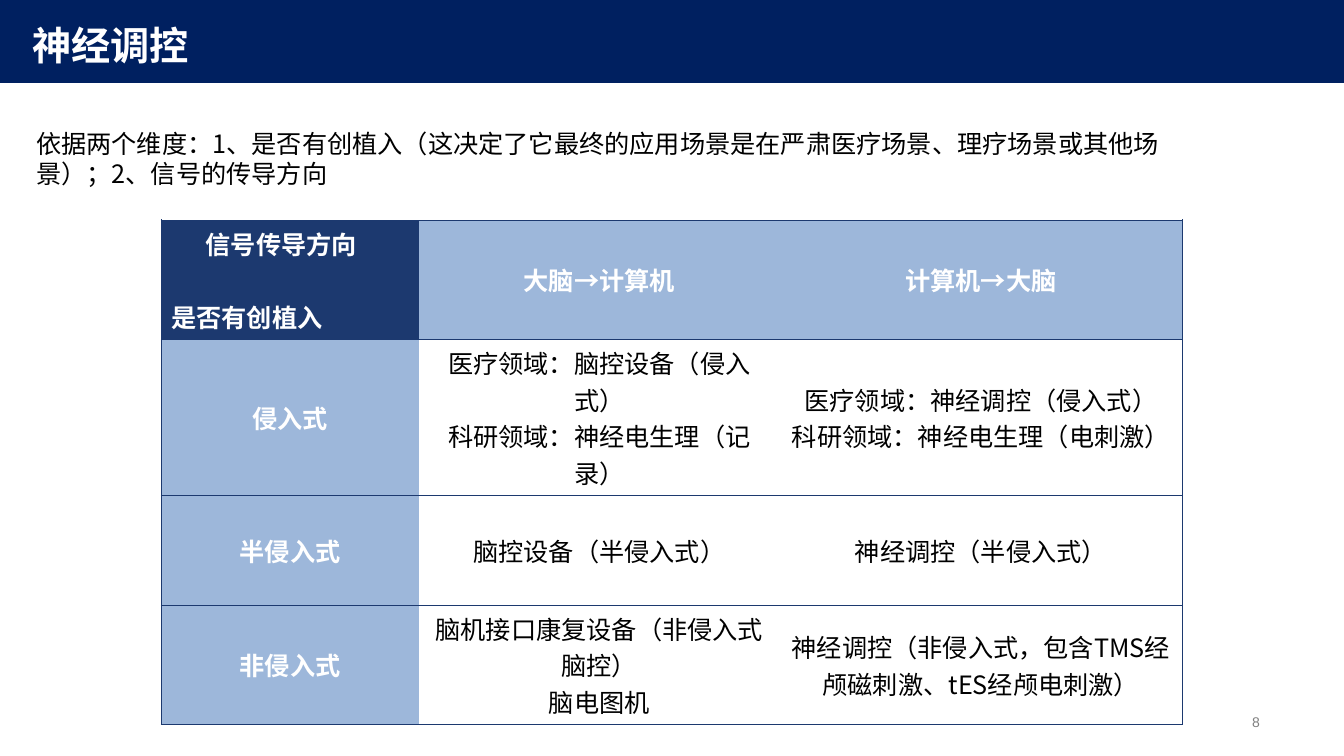
from pptx import Presentation
from pptx.dml.color import RGBColor
from pptx.enum import shapes, text
from pptx.oxml import parse_xml
from pptx.oxml.ns import nsdecls, qn
from pptx.util import Pt

# Content
TITLE = "神经调控"
INTRO = ("依据两个维度：1、是否有创植入（这决定了它最终的应用场景是在严肃医疗场景、"
         "理疗场景或其他场景）；2、信号的传导方向")
PAGE = "8"
ROWS = [
    ["信号传导方向\n是否有创植入", "大脑→计算机", "计算机→大脑"],
    ["侵入式",
     "医疗领域：脑控设备（侵入式）\n科研领域：神经电生理（记录）",
     "医疗领域：神经调控（侵入式）\n科研领域：神经电生理（电刺激）"],
    ["半侵入式", "脑控设备（半侵入式）", "神经调控（半侵入式）"],
    ["非侵入式",
     "脑机接口康复设备（非侵入式脑控）\n脑电图机",
     "神经调控（非侵入式，包含TMS经颅磁刺激、tES经颅电刺激）"],
]

THEME = {
    "banner": "002060", "corner": "1C396F", "label": "9DB7DA", "rule": "1C396F",
    "white": "FFFFFF", "black": "000000", "grey": "808080",
    "cjk": "Noto Sans CJK SC", "latin": "Arial",
    "title": 28, "body": 18, "page": 10,
}
SLIDE_W, SLIDE_H = 960, 540
BANNER_H = 59.2
TABLE_X, TABLE_Y = 115.2, 157
COL_W = [184, 257.8, 287.3]
ROW_H = [85.4, 111.4, 78.4, 85.4]


def rgb(name):
    return RGBColor.from_string(THEME[name])


def style(p, size, color, font, bold=False):
    for r in p.runs:
        r.font.size = Pt(THEME[size])
        r.font.bold = bold
        r.font.name = THEME[font]
        r.font.color.rgb = rgb(color)
        r._r.get_or_add_rPr().find(qn("a:latin")).addnext(
            parse_xml(f'<a:ea {nsdecls("a")} typeface="{THEME["cjk"]}"/>'))


def add_text(s, words, box, size, color, font, bold=False,
             anchor=text.MSO_ANCHOR.TOP, align=text.PP_ALIGN.LEFT):
    tf = s.shapes.add_textbox(*map(Pt, box)).text_frame
    tf.word_wrap = True
    tf.vertical_anchor = anchor
    tf.text = words
    tf.paragraphs[0].alignment = align
    style(tf.paragraphs[0], size, color, font, bold)
    return tf


def set_borders(cell, visible):
    tcPr = cell._tc.get_or_add_tcPr()
    for i, side in enumerate(("lnL", "lnR", "lnT", "lnB")):
        paint = (f'<a:solidFill><a:srgbClr val="{THEME["rule"]}"/></a:solidFill>'
                 if side in visible else "<a:noFill/>")
        tcPr.insert(i, parse_xml(
            f'<a:{side} {nsdecls("a")} w="{Pt(0.5)}">{paint}</a:{side}>'))


def fill_cell(cell, words, row, col):
    corner = row == col == 0
    header = row == 0 or col == 0
    cell.fill.solid()
    cell.fill.fore_color.rgb = rgb("corner" if corner else "label" if header else "white")
    cell.vertical_anchor = text.MSO_ANCHOR.TOP if corner else text.MSO_ANCHOR.MIDDLE
    cell.text_frame.text = words
    for p in cell.text_frame.paragraphs:
        p.alignment = text.PP_ALIGN.LEFT if corner else text.PP_ALIGN.CENTER
        style(p, "body", "white" if header else "black", "cjk", header)
    visible = {"lnT", "lnB"}
    if col == 0:
        visible.add("lnL")
    if col == len(COL_W) - 1:
        visible.add("lnR")
    set_borders(cell, visible)


def main():
    prs = Presentation()
    prs.slide_width, prs.slide_height = Pt(SLIDE_W), Pt(SLIDE_H)
    s = prs.slides.add_slide(prs.slide_layouts[6])

    # Banner and title
    banner = s.shapes.add_shape(shapes.MSO_SHAPE.RECTANGLE, 0, 0, Pt(SLIDE_W), Pt(BANNER_H))
    banner.shadow.inherit = False
    banner.fill.solid()
    banner.fill.fore_color.rgb = rgb("banner")
    banner.line.fill.background()
    add_text(s, TITLE, (16, 7.8, 928, 44.6), "title", "white", "latin", True,
             text.MSO_ANCHOR.BOTTOM)

    # Page number
    add_text(s, PAGE, (697.4, 507, 209.5, 17.3), "page", "grey", "latin",
             anchor=text.MSO_ANCHOR.MIDDLE, align=text.PP_ALIGN.RIGHT)

    # Comparison table
    tbl = s.shapes.add_table(len(ROWS), len(COL_W), Pt(TABLE_X), Pt(TABLE_Y),
                             Pt(sum(COL_W)), Pt(sum(ROW_H))).table
    tbl.first_row = tbl.horz_banding = False
    for column, width in zip(tbl.columns, COL_W):
        column.width = Pt(width)
    for i, (row, height) in enumerate(zip(ROWS, ROW_H)):
        tbl.rows[i].height = Pt(height)
        for j, words in enumerate(row):
            fill_cell(tbl.cell(i, j), words, i, j)

    # Corner cell: column heading indented, row heading one line lower
    across, down = tbl.cell(0, 0).text_frame.paragraphs
    across._p.get_or_add_pPr().set("marL", str(Pt(24.5)))
    down.space_before = Pt(26.2)

    # Introduction
    tf = add_text(s, INTRO, (18.7, 87.8, 825.8, 51.1), "body", "black", "cjk")
    tf.paragraphs[0].line_spacing = Pt(21.7)

    prs.save("out.pptx")


if __name__ == "__main__":
    main()
